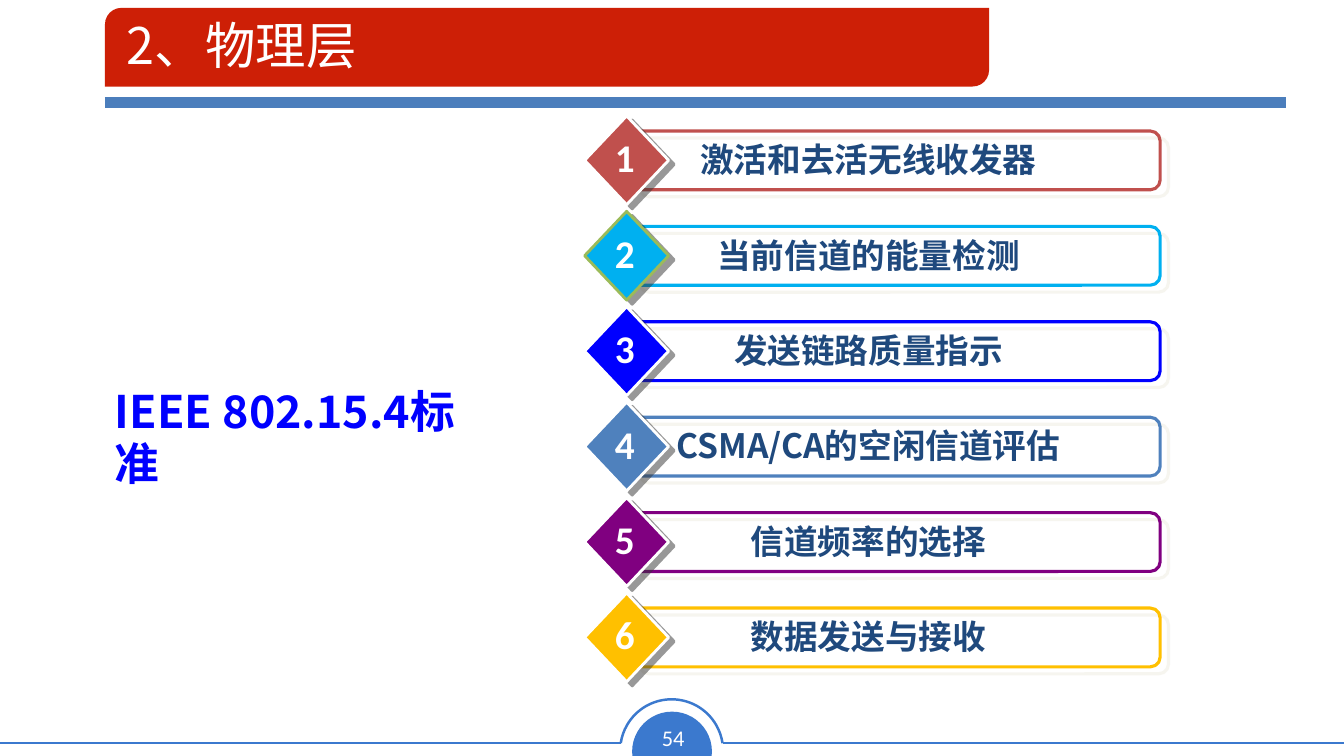
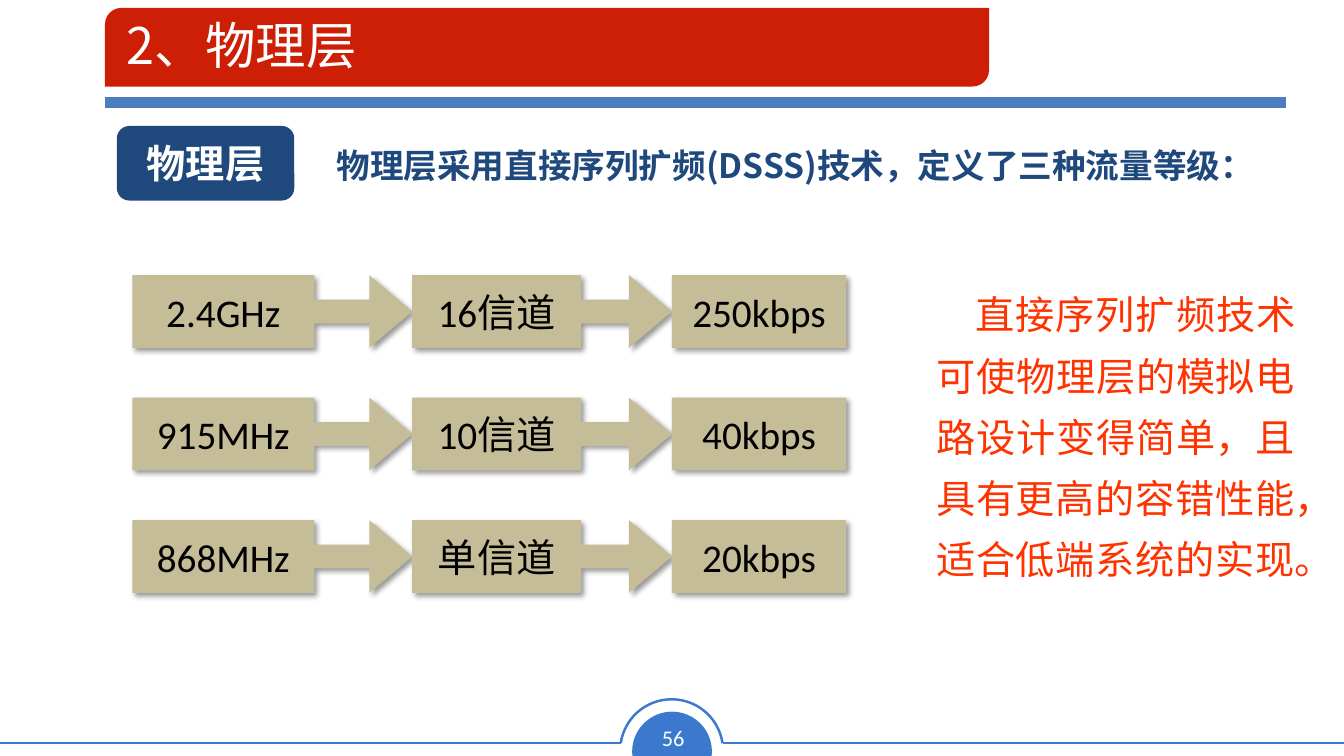
from dataclasses import dataclass

from lxml import etree
from pptx import Presentation
from pptx import util as u
from pptx.dml.color import RGBColor
from pptx.enum import shapes, text
from pptx.oxml.ns import qn

Pt = u.Pt
MSO = shapes.MSO_SHAPE
ALIGN = text.PP_ALIGN
CJK, LATIN = "Noto Sans CJK SC", "Calibri"


@dataclass(frozen=True)
class Style:
    """Look of one kind of text."""
    size: int
    color: str
    font: str = CJK
    bold: bool = False


@dataclass(frozen=True)
class Theme:
    """Colours, type sizes and shadows of the deck."""
    banner: str = "CD1F06"
    rule: str = "4B7EBC"
    footer: str = "3B79CE"
    navy: str = "1F497D"
    sand: str = "C4BD97"
    white: str = "FFFFFF"
    title: Style = Style(36, "FFFFFF")
    page: Style = Style(16, "FFFFFF", LATIN)
    standard: Style = Style(32, "0000FF", bold=True)
    label: Style = Style(24, "1F497D", bold=True)
    number: Style = Style(28, "FFFFFF", LATIN, True)
    badge: Style = Style(28, "FFFFFF", bold=True)
    cell: Style = Style(28, "000000", LATIN)
    remark: Style = Style(28, "FF3300")
    bar_shadow: tuple = ("EEECE1", 50, 0, 7.8, 40)
    diamond_shadow: tuple = ("333333", 50, 0, 5, 37)
    cell_shadow: tuple = ("000000", 40, 4, 3, 45)


T = Theme()

ROWS = [
    ("激活和去活无线收发器", "C0504D", T.white),
    ("当前信道的能量检测", "00B0F0", "9BBB59"),
    ("发送链路质量指示", "0000FF", T.white),
    ("CSMA/CA的空闲信道评估", "4F81BD", T.white),
    ("信道频率的选择", "800080", T.white),
    ("数据发送与接收", "FFC000", T.white),
]

BANDS = [
    ("2.4GHz", "16信道", "250kbps"),
    ("915MHz", "10信道", "40kbps"),
    ("868MHz", "单信道", "20kbps"),
]


def rgb(color):
    """Turn a hex string into a colour."""
    return RGBColor.from_string(color)


def write(sp, words, style, align=ALIGN.LEFT, wrap=True, anchor=None,
          spacing=None, indent=None):
    """Write one styled paragraph into a shape."""
    tf = sp.text_frame
    tf.word_wrap = wrap
    tf.auto_size = text.MSO_AUTO_SIZE.NONE
    if anchor is not None:
        tf.vertical_anchor = anchor
    p = tf.paragraphs[0]
    p.alignment = align
    if spacing:
        p.line_spacing = Pt(spacing)
    if indent:
        pPr = p._p.get_or_add_pPr()
        pPr.set("marL", "0")
        pPr.set("indent", str(Pt(indent)))
    r = p.add_run()
    r.text = words
    r.font.size = Pt(style.size)
    r.font.bold = style.bold
    r.font.color.rgb = rgb(style.color)
    r.font.name = style.font
    etree.SubElement(r._r.get_or_add_rPr(), qn("a:ea"), typeface=CJK)


def add_text(holder, box, words, style, **options):
    """Add a text box."""
    sp = holder.shapes.add_textbox(*map(Pt, box))
    write(sp, words, style, **options)


def add_shadow(sp, color, alpha, blur, dist, angle):
    """Give a shape an outer shadow."""
    effects = sp.element.spPr.find(qn("a:effectLst"))
    shadow = etree.SubElement(
        effects, qn("a:outerShdw"), blurRad=str(Pt(blur)), dist=str(Pt(dist)),
        dir=str(angle * 60000), algn="ctr", rotWithShape="0")
    clr = etree.SubElement(shadow, qn("a:srgbClr"), val=color)
    etree.SubElement(clr, qn("a:alpha"), val=str(alpha * 1000))


def add_shape(holder, kind, box, fill=None, line=None, weight=0, adj=(),
              shadow=None):
    """Add a preset shape with plain fill, line and shadow."""
    sp = holder.shapes.add_shape(kind, *map(Pt, box))
    for i, value in enumerate(adj):
        sp.adjustments[i] = value
    if fill:
        sp.fill.solid()
        sp.fill.fore_color.rgb = rgb(fill)
    else:
        sp.fill.background()
    if line:
        sp.line.color.rgb = rgb(line)
        sp.line.width = Pt(weight)
    else:
        sp.line.fill.background()
    sp.shadow.inherit = False
    if shadow:
        add_shadow(sp, *shadow)
    return sp


def add_rule(s, x1, x2, y, color, weight):
    """Add a horizontal line."""
    c = s.shapes.add_connector(
        shapes.MSO_CONNECTOR.STRAIGHT, Pt(x1), Pt(y), Pt(x2), Pt(y))
    c.line.color.rgb = rgb(color)
    c.line.width = Pt(weight)
    etree.SubElement(c.element.spPr, qn("a:effectLst"))


def build_layout(prs, layout):
    """Place the title, banner and footer on the layout."""
    for ph in list(layout.placeholders):
        if ph.placeholder_format.idx == 0:
            ph.left, ph.top, ph.width, ph.height = map(Pt, (83.5, 5.2, 833, 53.3))
        else:
            ph.element.getparent().remove(ph.element)
    s = prs.slides.add_slide(layout)
    chord = add_shape(s, MSO.CHORD, (451.5, 508.3, 57, 57), T.footer,
                      adj=(35.772, 153.29))
    chord.rotation = 112.4
    add_rule(s, 516.5, 960, 530.6, T.footer, 1.77)
    add_rule(s, 0, 443.5, 530.6, T.footer, 1.77)
    add_shape(s, MSO.ARC, (443, 499.5, 73.5, 73.5), line=T.footer, weight=1.77,
              adj=(113.17, 210.975))
    add_rule(s, 75, 918.5, 73.2, T.rule, 8)
    add_shape(s, MSO.ROUND_2_DIAG_RECTANGLE, (75, 5.6, 631.5, 56.2), T.banner,
              adj=(0.209, 0))
    decor = [sp for sp in s.shapes if not sp.is_placeholder]
    for i, sp in enumerate(decor, start=2):
        layout.shapes.element.insert(i, sp.element)
    return s


def add_heading(s, page):
    """Fill in the title and the page number."""
    write(s.shapes.title, "2、物理层", T.title, anchor=text.MSO_ANCHOR.MIDDLE)
    add_text(s, (464.4, 514, 33, 26.6), page, T.page, align=ALIGN.CENTER,
             wrap=False)


def add_numbered_row(s, number, words, color, edge):
    """Add one numbered diamond with its outlined bar."""
    y = 82.8 + (number - 1) * 68.15
    g = s.shapes.add_group_shape()
    add_shape(g, MSO.ROUNDED_RECTANGLE, (450.7, y + 10.8, 378, 42), line=color,
              weight=2.25, adj=(0.167,), shadow=T.bar_shadow)
    add_shape(g, MSO.DIAMOND, (417.6, y, 60, 63.4), color, edge, 2,
              shadow=T.diamond_shadow)
    add_text(g, (470.9, y + 13, 298.8, 36), words, T.label, align=ALIGN.CENTER)
    add_text(g, (432, y + 9.2, 28.8, 41), str(number), T.number,
             align=ALIGN.CENTER, wrap=False)


def add_band(s, y, cells):
    """Add a chain of two arrow callouts and a rectangle."""
    x = 94.5
    callout = (MSO.RIGHT_ARROW_CALLOUT, (0.326, 0.5, 0.591, 0.65))
    kinds = (callout, callout, (MSO.RECTANGLE, ()))
    for words, (kind, adj), width in zip(cells, kinds, (200, 185.5, 124.5)):
        sp = add_shape(s, kind, (x, y, width, 52), T.sand, adj=adj,
                       shadow=T.cell_shadow)
        write(sp, words, T.cell, ALIGN.CENTER, anchor=text.MSO_ANCHOR.MIDDLE)
        x += width


def build_functions(s):
    """Build the slide listing what the physical layer does."""
    add_heading(s, "54")
    for number, row in enumerate(ROWS, start=1):
        add_numbered_row(s, number, *row)
    add_text(s, (75, 272, 288.7, 82), "IEEE 802.15.4标准", T.standard,
             spacing=37.2)


def build_rates(s):
    """Build the slide on frequency bands and data rates."""
    add_heading(s, "56")
    badge = add_shape(s, MSO.ROUNDED_RECTANGLE, (83.5, 90, 126.7, 53.3), T.navy)
    write(badge, "物理层", T.badge, ALIGN.CENTER, anchor=text.MSO_ANCHOR.MIDDLE)
    add_text(s, (233.3, 100, 692, 36),
             "物理层采用直接序列扩频(DSSS)技术，定义了三种流量等级：", T.label)
    for i, cells in enumerate(BANDS):
        add_band(s, 196.5 + i * 87.5, cells)
    add_text(s, (661.7, 194, 270.7, 272),
             "直接序列扩频技术可使物理层的模拟电路设计变得简单，"
             "且具有更高的容错性能，适合低端系统的实现。",
             T.remark, align=ALIGN.JUSTIFY, spacing=43.7, indent=28)


def main():
    """Build and save the deck."""
    prs = Presentation()
    prs.slide_width, prs.slide_height = Pt(960), Pt(540)
    layout = prs.slide_layouts[5]
    build_functions(build_layout(prs, layout))
    build_rates(prs.slides.add_slide(layout))
    prs.save("out.pptx")


if __name__ == "__main__":
    main()
